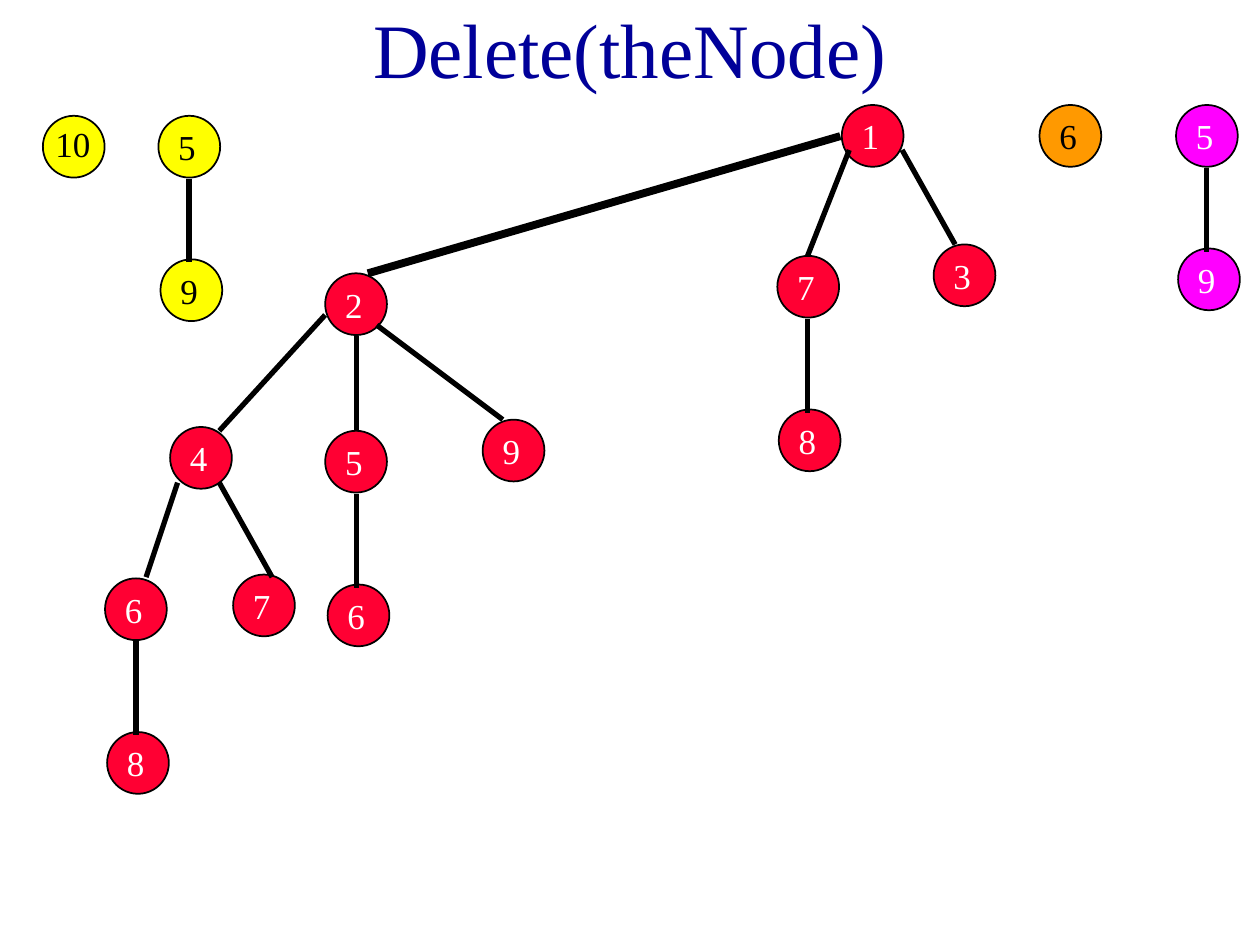
from lxml.etree import SubElement
from pptx import Presentation
from pptx.dml.color import RGBColor
from pptx.enum.shapes import MSO_CONNECTOR as CONN, MSO_SHAPE as SHAPE
from pptx.enum.text import MSO_ANCHOR as ANCHOR, PP_ALIGN as ALIGN
from pptx.oxml.ns import qn
from pptx.util import Pt

NAVY = RGBColor(0x00, 0x00, 0x99)
RED = RGBColor(0xFF, 0x00, 0x33)
YELLOW = RGBColor(0xFF, 0xFF, 0x00)
ORANGE = RGBColor(0xFF, 0x99, 0x00)
MAGENTA = RGBColor(0xFF, 0x00, 0xFF)
BLACK = RGBColor(0x00, 0x00, 0x00)
WHITE = RGBColor(0xFF, 0xFF, 0xFF)

NODE = 35.3
TITLE_FONT = {"name": "Times New Roman", "size": Pt(44)}
LABEL_FONT = {"name": "Times New Roman", "size": Pt(20)}

HEAP_NODES = [
    ("1", 421, 0), ("7", 384.2, 86.2), ("3", 473.5, 79.7), ("8", 385, 174),
    ("2", 125.8, 96.2), ("5", 125.8, 186.2), ("9", 215.8, 179.8), ("6", 127.2, 274),
    ("4", 37.2, 184), ("6", 0, 270.5), ("7", 73.2, 268.3), ("8", 1.2, 358.3),
]
HEAP_EDGES = [
    (401.5, 122.2, 401.5, 176.2, 3), (425.3, 25.7, 401.5, 86.2, 3),
    (455.5, 25.7, 485.8, 79.7, 3), (143.8, 222.2, 143.8, 276.2, 3),
    (143.8, 132.2, 143.8, 186.2, 3), (155.3, 125.8, 227.3, 179.8, 3),
    (17.8, 305.8, 17.8, 359.8, 3), (41.5, 215.8, 23.5, 269.8, 3),
    (65.3, 215.8, 95.5, 269.8, 3), (125.8, 120, 65.3, 186.2, 3),
    (420.2, 17.8, 150.2, 96.2, 4.5),
]
PAIR_NODES = [("5", 0, 0), ("9", 1.2, 82)]
PAIR_EDGES = [(17.5, 36, 17.5, 83.8, 3)]


def add_text(s, text, box, font, color, **frame):
    """Place one line of text in the box and return its paragraph."""
    tf = s.shapes.add_textbox(*map(Pt, box)).text_frame
    for key, value in frame.items():
        setattr(tf, key, value)
    p = tf.paragraphs[0]
    r = p.add_run()
    r.text = text
    for key, value in font.items():
        setattr(r.font, key, value)
    r.font.color.rgb = color
    return p


def add_title(s, text, box):
    """Centre the slide title in the box."""
    p = add_text(s, text, box, TITLE_FONT, NAVY,
                 word_wrap=True, vertical_anchor=ANCHOR.MIDDLE)
    p.alignment = ALIGN.CENTER


def add_node(s, label, x, y, fill, color):
    """Draw a round node at x, y with its label."""
    sp = s.shapes.add_shape(SHAPE.OVAL, Pt(x), Pt(y), Pt(NODE), Pt(NODE))
    sp.shadow.inherit = False
    sp.fill.solid()
    sp.fill.fore_color.rgb = fill
    sp.line.color.rgb = BLACK
    sp.line.width = Pt(1)
    wide = len(label) > 1
    dx, dy, width = (0, 0, 34.5) if wide else (4.3, 2, 24.5)
    add_text(s, label, (x + dx, y + dy, width, 31), LABEL_FONT, color, word_wrap=False)


def add_edge(s, x1, y1, x2, y2, width):
    """Draw a plain black line between two points."""
    line = s.shapes.add_connector(CONN.STRAIGHT, Pt(x1), Pt(y1), Pt(x2), Pt(y2))
    line.line.color.rgb = BLACK
    line.line.width = Pt(width)
    SubElement(line._element.spPr, qn("a:effectLst"))


def add_tree(s, left, top, nodes, edges, fill, color):
    """Draw a tree whose nodes and edges are relative to left, top."""
    for label, x, y in nodes:
        add_node(s, label, left + x, top + y, fill, color)
    for x1, y1, x2, y2, width in edges:
        add_edge(s, left + x1, top + y1, left + x2, top + y2, width)


def main():
    """Build the slide and save it."""
    prs = Presentation()
    prs.slide_width, prs.slide_height = Pt(720), Pt(540)
    s = prs.slides.add_slide(prs.slide_layouts[6])
    add_title(s, "Delete(theNode)", (54, 0, 612, 54))
    add_tree(s, 60, 60, HEAP_NODES, HEAP_EDGES, RED, WHITE)
    add_tree(s, 24.5, 66.2, [("10", 0, 0)], [], YELLOW, BLACK)
    add_tree(s, 90.5, 66.2, PAIR_NODES, PAIR_EDGES, YELLOW, BLACK)
    add_tree(s, 594, 60, [("6", 0, 0)], [], ORANGE, BLACK)
    add_tree(s, 672, 60, PAIR_NODES, PAIR_EDGES, MAGENTA, WHITE)
    prs.save("out.pptx")


if __name__ == "__main__":
    main()
